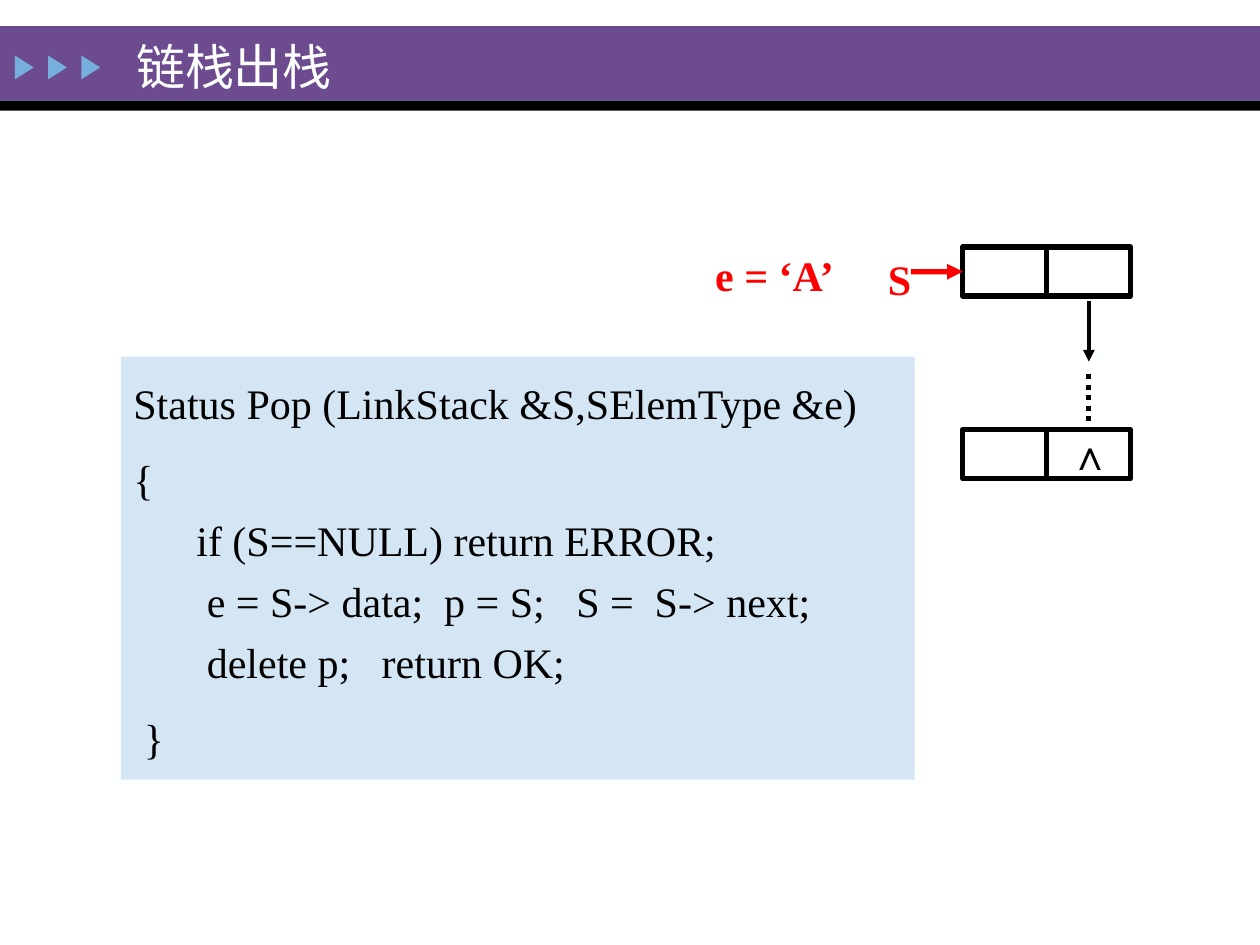
from lxml import etree
from pptx import Presentation
from pptx.dml.color import RGBColor
from pptx.enum.dml import MSO_LINE
from pptx.enum.shapes import MSO_CONNECTOR, MSO_SHAPE
from pptx.enum.text import MSO_ANCHOR, MSO_AUTO_SIZE, PP_ALIGN
from pptx.oxml.ns import qn
from pptx.util import Cm, Pt

COLORS = {"page": "FEFFFF", "bar": "6C4C8F", "mark": "76AEDD", "code": "D4E6F4",
          "node": "FFFFFF", "ink": "000000", "red": "FF0000"}
COLORS = {name: RGBColor.from_string(value) for name, value in COLORS.items()}
FONT = "Times New Roman"

prs = Presentation()
prs.slide_width, prs.slide_height = Cm(25.4), Cm(19.05)
slide = prs.slides.add_slide(prs.slide_layouts[5])
shapes = slide.shapes
slide.background.fill.solid()
slide.background.fill.fore_color.rgb = COLORS["page"]


def block(kind, x, y, w, h, fill):
    """Add a filled shape with no outline or shadow; lengths in cm."""
    shape = shapes.add_shape(kind, Cm(x), Cm(y), Cm(w), Cm(h))
    shape.shadow.inherit = False
    shape.fill.solid()
    shape.fill.fore_color.rgb = COLORS[fill]
    shape.line.fill.background()
    return shape


def line(x1, y1, x2, y2, color="ink", width=3, arrow=False):
    link = shapes.add_connector(MSO_CONNECTOR.STRAIGHT, Cm(x1), Cm(y1), Cm(x2), Cm(y2))
    link.line.color.rgb = COLORS[color]
    link.line.width = Pt(width)
    props = link._element.spPr
    if arrow:
        etree.SubElement(props.find(qn("a:ln")), qn("a:tailEnd"), type="triangle")
    etree.SubElement(props, qn("a:effectLst"))
    return link


# Header
block(MSO_SHAPE.RECTANGLE, 0, 0.53, 25.4, 1.5, "bar")
block(MSO_SHAPE.RECTANGLE, 0, 2.03, 25.4, 0.2, "ink")
for i in range(3):
    mark = block(MSO_SHAPE.ISOSCELES_TRIANGLE, 0.25 + 0.67 * i, 1.17, 0.48, 0.38, "mark")
    mark.rotation = 90

title = shapes.title
title.left, title.top, title.width, title.height = Cm(2.49), Cm(0.61), Cm(9.45), Cm(1.42)
frame = title.text_frame
frame.text = "链栈出栈"
frame.auto_size = MSO_AUTO_SIZE.NONE
frame.vertical_anchor = MSO_ANCHOR.MIDDLE
para = frame.paragraphs[0]
para.alignment = PP_ALIGN.LEFT
para.font.name, para.font.size = FONT, Pt(28)
para.font.color.rgb = COLORS["page"]
title.element.getparent().append(title.element)  # in front of the bar

# Code panel
code = [
    ("Status Pop (LinkStack &S,SElemType &e)", False),
    ("{", False),
    ("if (S==NULL) return ERROR;", True),
    (" e = S-> data;  p = S;   S =  S-> next;", True),
    (" delete p;   return OK;", True),
    (" }", False),
]
frame = block(MSO_SHAPE.RECTANGLE, 2.44, 7.19, 16, 8.53, "code").text_frame
frame.word_wrap = True
frame.vertical_anchor = MSO_ANCHOR.TOP
for i, (text, body) in enumerate(code):
    para = frame.add_paragraph() if i else frame.paragraphs[0]
    para.text = text
    para.alignment = PP_ALIGN.LEFT
    para.space_before = Pt(6 if i else 0)
    props = para._p.get_or_add_pPr()
    if body:
        para.level = 1
        props.set("marL", str(Cm(1.27)))
        props.set("indent", "0")
    else:
        para.line_spacing = 1.3
        props.set("marL", str(Cm(0.97)))
        props.set("indent", str(-Cm(0.97)))
    para.font.name, para.font.size = FONT, Pt(24)
    para.font.color.rgb = COLORS["ink"]

# Stack nodes, each split in two
nodes = []
for y in (4.98, 8.66):
    node = block(MSO_SHAPE.RECTANGLE, 19.41, y, 3.38, 0.99, "node")
    node.line.color.rgb = COLORS["ink"]
    node.line.width = Pt(3)
    split = line(21.1, y, 21.1, y + 0.99)
    split.begin_connect(node, 0)
    split.end_connect(node, 2)
    nodes.append(node)

# Links
line(21.95, 6.07, 21.95, 7.29, width=2.25, arrow=True)
line(21.95, 7.54, 21.95, 8.51).line.dash_style = MSO_LINE.ROUND_DOT
line(18.36, 5.48, 19.41, 5.48, "red", arrow=True).end_connect(nodes[0], 1)

# Labels
for text, x, y, w, color in [
    ("∧", 21.31, 8.51, 1.27, "ink"),
    ("e = ‘A’", 13.39, 4.9, 4.45, "red"),
    ("S", 17.5, 4.98, 1.27, "red"),
]:
    frame = shapes.add_textbox(Cm(x), Cm(y), Cm(w), Cm(1.27)).text_frame
    frame.word_wrap = True
    para = frame.paragraphs[0]
    para.text = text
    para.alignment = PP_ALIGN.CENTER
    para.font.name, para.font.size, para.font.bold = FONT, Pt(24), True
    para.font.color.rgb = COLORS[color]

prs.save("out.pptx")
